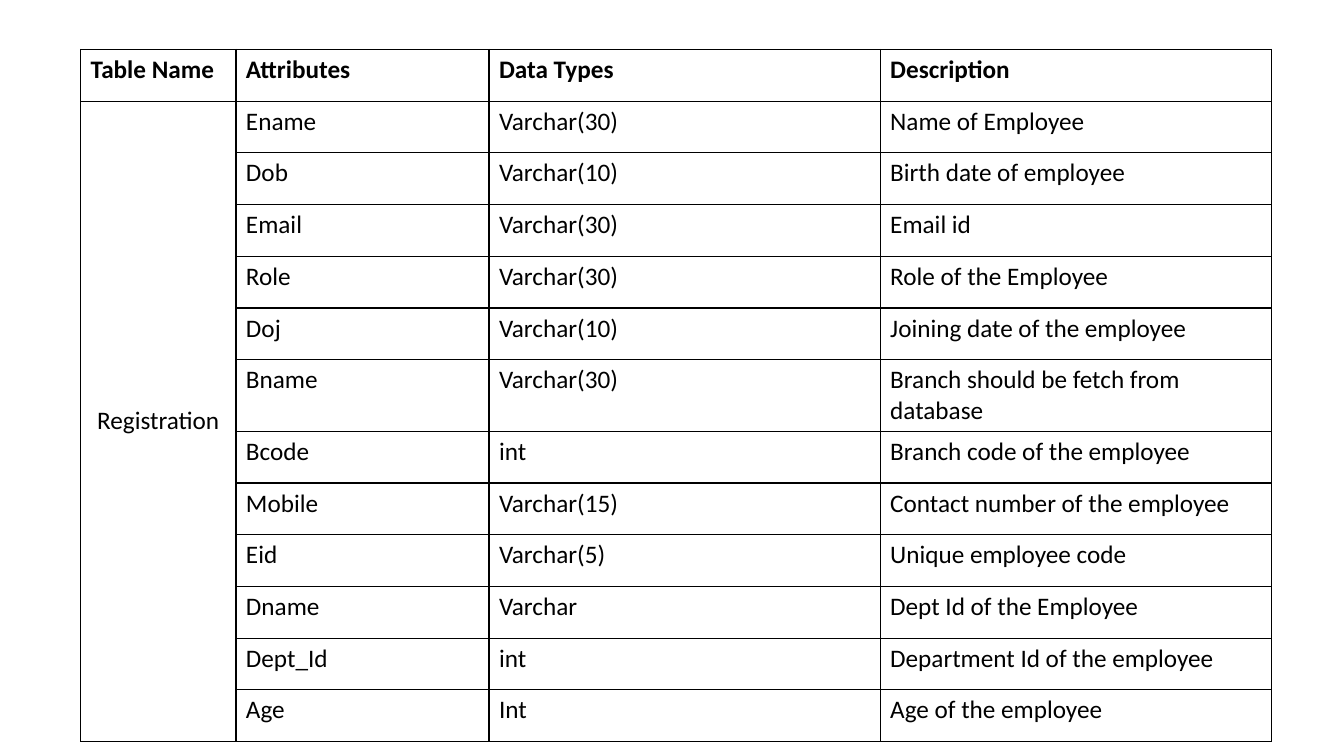
from lxml import etree
from pptx import Presentation
from pptx.dml.color import RGBColor
from pptx.enum import text
from pptx.oxml import ns
from pptx.util import Inches, Pt

HEADERS = ("Table Name", "Attributes", "Data Types", "Description")
TABLE_NAME = "Registration"
ATTRIBUTES = [
    ("Ename", "Varchar(30)", "Name of Employee"),
    ("Dob", "Varchar(10)", "Birth date of employee"),
    ("Email", "Varchar(30)", "Email id"),
    ("Role", "Varchar(30)", "Role of the Employee"),
    ("Doj", "Varchar(10)", "Joining date of the employee"),
    ("Bname", "Varchar(30)", "Branch should be fetch from database"),
    ("Bcode", "int", "Branch code of the employee"),
    ("Mobile", "Varchar(15)", "Contact number of the employee"),
    ("Eid", "Varchar(5)", "Unique employee code"),
    ("Dname", "Varchar", "Dept Id of the Employee"),
    ("Dept_Id", "int", "Department Id of the employee"),
    ("Age", "Int", "Age of the employee"),
]

THEME = {"font": "Calibri", "size": 18, "ink": "000000", "border": 1}
SLIDE_SIZE = (13.33, 7.5)
TABLE_LEFT, TABLE_TOP, TABLE_HEIGHT = 0.8, 0.49, 6.67
COLUMN_WIDTHS = (1.54, 2.51, 3.88, 3.88)


def set_borders(cell):
    """Draw a thin solid line on all four sides of a cell."""
    properties = cell._tc.get_or_add_tcPr()
    for position, side in enumerate(("lnL", "lnR", "lnT", "lnB")):
        line = etree.Element(ns.qn(f"a:{side}"), w=str(Pt(THEME["border"])))
        fill = etree.SubElement(line, ns.qn("a:solidFill"))
        etree.SubElement(fill, ns.qn("a:srgbClr"), val=THEME["ink"])
        properties.insert(position, line)


def write(cell, content, bold=False, align=text.PP_ALIGN.LEFT,
          anchor=text.MSO_ANCHOR.TOP):
    """Put formatted text in a cell."""
    cell.vertical_anchor = anchor
    paragraph = cell.text_frame.paragraphs[0]
    paragraph.alignment = align
    run = paragraph.add_run()
    run.text = content
    run.font.name = THEME["font"]
    run.font.size = Pt(THEME["size"])
    run.font.bold = bold
    run.font.color.rgb = RGBColor.from_string(THEME["ink"])


def add_attribute_table(slide):
    """Build the data dictionary with the table name merged down its column."""
    row_count = len(ATTRIBUTES) + 1
    table = slide.shapes.add_table(
        row_count, len(HEADERS), Inches(TABLE_LEFT), Inches(TABLE_TOP),
        Inches(sum(COLUMN_WIDTHS)), Inches(TABLE_HEIGHT)).table
    table.first_row = table.horz_banding = False
    for column, width in zip(table.columns, COLUMN_WIDTHS):
        column.width = Inches(width)
    for row in table.rows:
        row.height = Inches(TABLE_HEIGHT / row_count)
    for cell in table.iter_cells():
        cell.fill.background()
        set_borders(cell)

    for column, header in enumerate(HEADERS):
        write(table.cell(0, column), header, bold=True)
    table.cell(1, 0).merge(table.cell(row_count - 1, 0))
    write(table.cell(1, 0), TABLE_NAME, align=text.PP_ALIGN.CENTER,
          anchor=text.MSO_ANCHOR.MIDDLE)
    for row, values in enumerate(ATTRIBUTES, start=1):
        for column, value in enumerate(values, start=1):
            write(table.cell(row, column), value)


presentation = Presentation()
presentation.slide_width, presentation.slide_height = map(Inches, SLIDE_SIZE)
blank_layout = presentation.slide_layouts[6]
add_attribute_table(presentation.slides.add_slide(blank_layout))
presentation.save("out.pptx")
